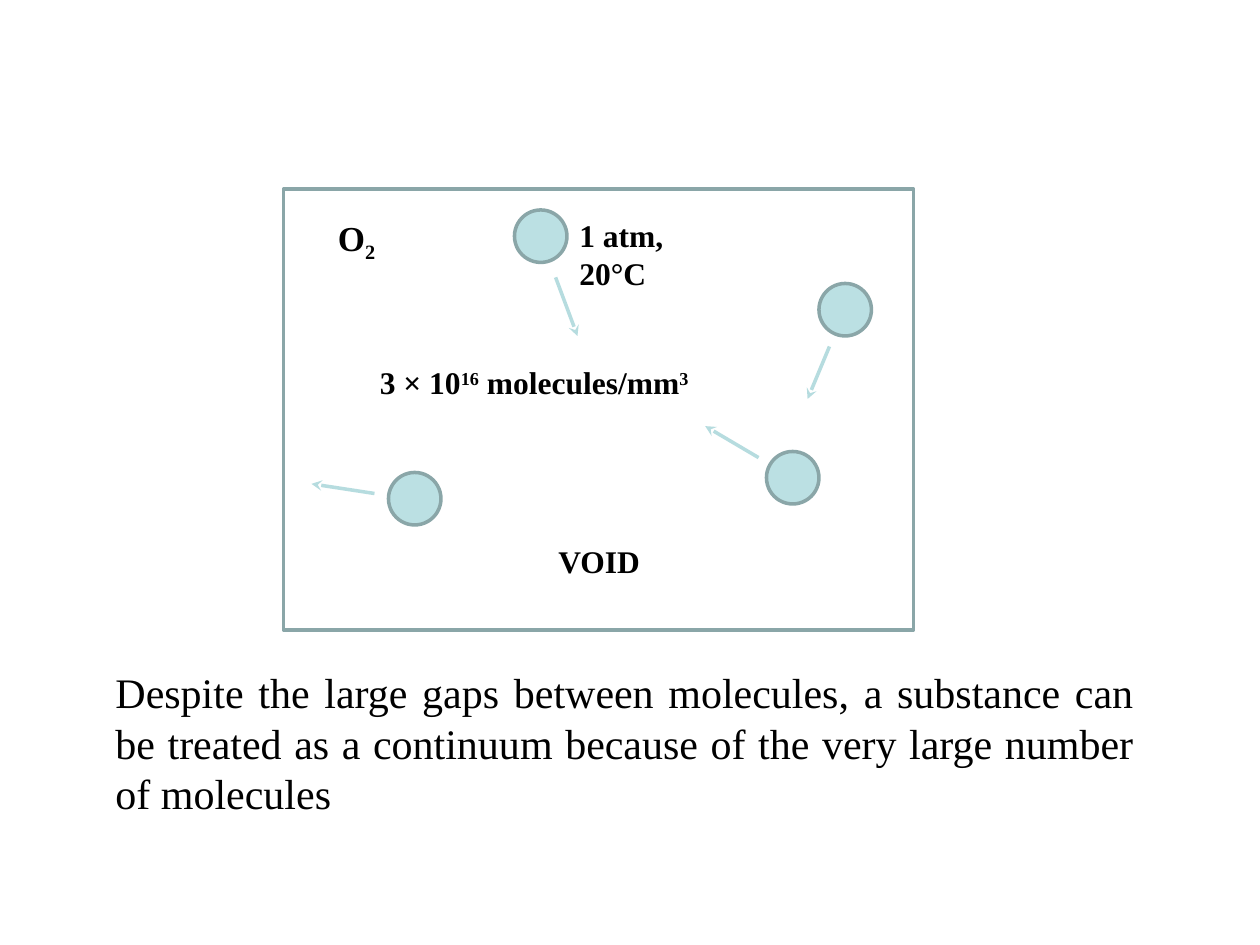
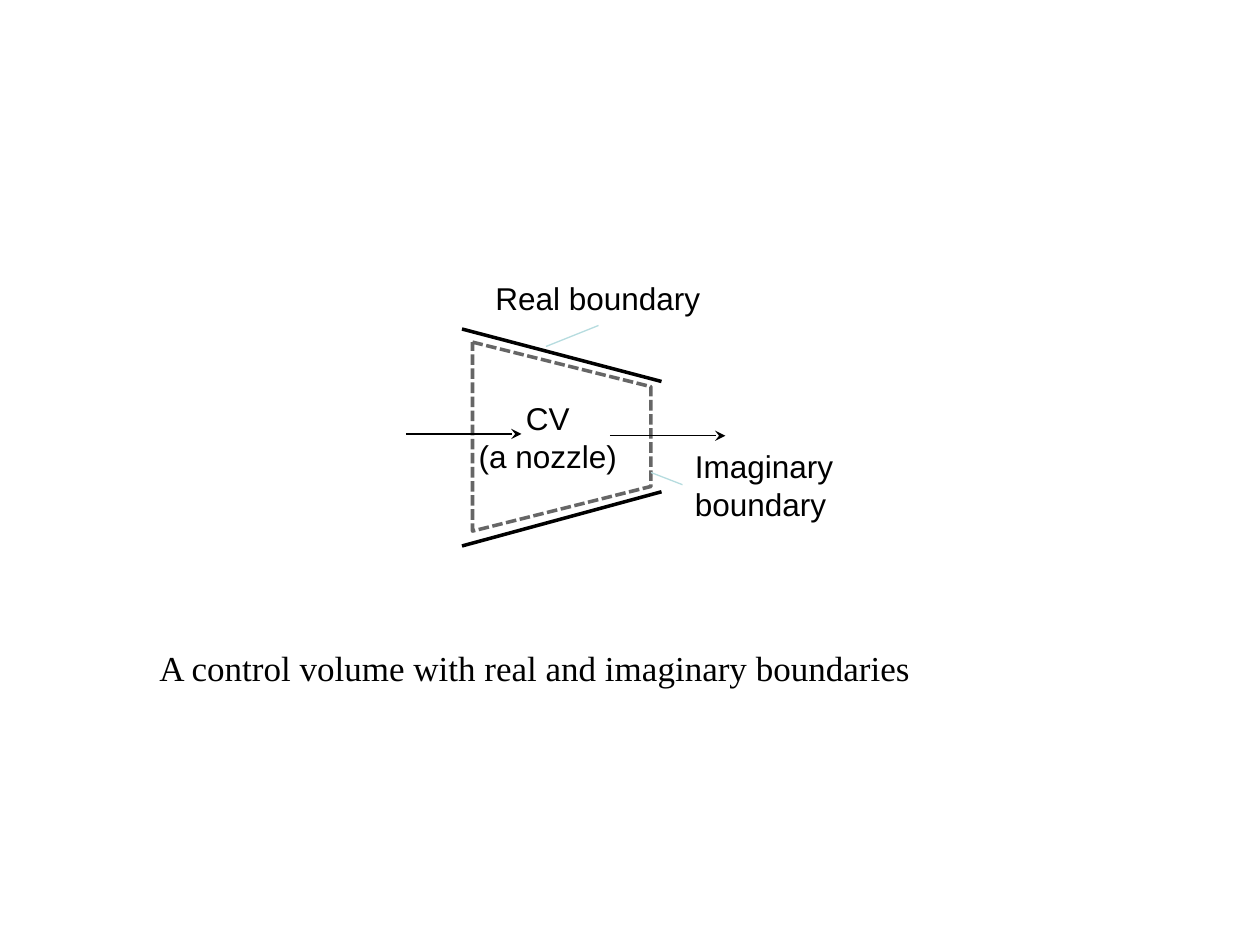
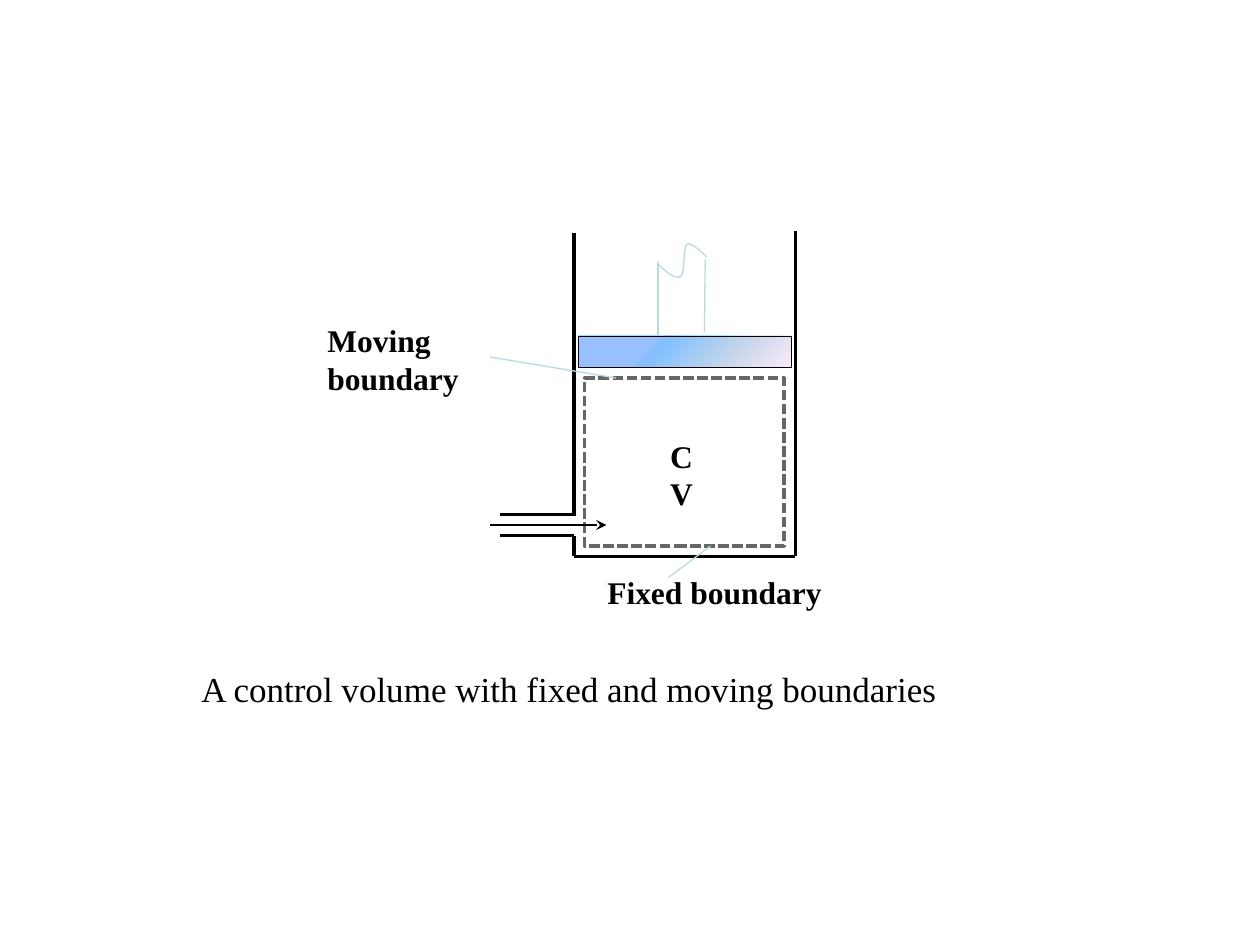
from lxml import etree
from pptx import Presentation, util as u
from pptx.dml.color import RGBColor
from pptx.enum import dml, shapes, text
from pptx.oxml.ns import qn

Pt = u.Pt
COLORS = {
    "black": "000000",
    "dash": "666666",
    "outline": "8AA6A8",
    "molecule": "BBE0E3",
    "pale": "B6DCDF",
}
SERIF, SANS = "Times New Roman", "Arial"
PISTON_STOPS = [(33, "5E9EFF", 63), (40, "85C2FF", 100), (70, "C4D6EB", 100), (100, "FFEBFA", 100)]


def add_text(slide, box, parts, size=18, name=SERIF, bold=False, align=None, inset=None):
    """Add a wrapped text box; parts are (text, baseline shift in percent) pairs."""
    frame = slide.shapes.add_textbox(*map(Pt, box)).text_frame
    frame.word_wrap = True
    if inset is not None:
        frame.margin_left = frame.margin_right = frame.margin_top = frame.margin_bottom = Pt(inset)
    paragraph = frame.paragraphs[0]
    paragraph.alignment = align
    font = paragraph.font
    font.size, font.name, font.bold = Pt(size), name, bold
    font.color.rgb = RGBColor.from_string(COLORS["black"])
    for words, baseline in parts:
        run = paragraph.add_run()
        run.text = words
        if baseline:
            run._r.get_or_add_rPr().set("baseline", str(baseline * 1000))


def add_line(slide, ends, color="black", width=2, arrow=False):
    line = slide.shapes.add_connector(shapes.MSO_CONNECTOR.STRAIGHT, *map(Pt, ends))
    line.line.color.rgb = RGBColor.from_string(COLORS[color])
    line.line.width = Pt(width)
    properties = line._element.spPr
    if arrow:
        etree.SubElement(properties.find(qn("a:ln")), qn("a:tailEnd"), type="stealth")
    etree.SubElement(properties, qn("a:effectLst"))


presentation = Presentation()
presentation.slide_width, presentation.slide_height = Pt(720), Pt(540)
blank = presentation.slide_layouts[6]

# Slide 1: molecules in a void
slide = presentation.slides.add_slide(blank)
container = slide.shapes.add_shape(shapes.MSO_SHAPE.RECTANGLE, Pt(162), Pt(108), Pt(360), Pt(252))
container.fill.background()
molecules = [container]
for left, top in [(222, 270), (438, 258), (294, 120), (468, 162)]:
    molecule = slide.shapes.add_shape(
        shapes.MSO_SHAPE.FLOWCHART_CONNECTOR, Pt(left), Pt(top), Pt(30), Pt(30))
    molecule.fill.solid()
    molecule.fill.fore_color.rgb = RGBColor.from_string(COLORS["molecule"])
    molecules.append(molecule)
for shape in molecules:
    shape.shadow.inherit = False
    shape.line.color.rgb = RGBColor.from_string(COLORS["outline"])
    shape.line.width = Pt(2)

for ends in [(317.5, 158.5, 330, 192), (474, 198, 461.5, 228),
             (214, 282, 178, 276.5), (433.5, 261.5, 403, 243.5)]:
    add_line(slide, ends, "pale", arrow=True)

add_text(slide, (324, 120, 80, 51), [("1 atm, 20°C", 0)], bold=True)
add_text(slide, (210, 204, 220, 29),
         [("3 × 10", 0), ("16", 30), (" molecules/mm", 0), ("3", 30)], bold=True)
add_text(slide, (312, 306, 80, 29), [("VOID", 0)], bold=True)
add_text(slide, (186, 120, 50, 32), [("O", 0), ("2", -25)], size=20, bold=True)
add_text(slide, (66, 381, 582, 87),
         [("Despite the large gaps between molecules, a substance can be treated as a "
           "continuum because of the very large number of molecules", 0)],
         size=24, align=text.PP_ALIGN.JUSTIFY, inset=0)

# Slide 2: nozzle with real and imaginary boundaries
slide = presentation.slides.add_slide(blank)
add_text(slide, (84, 366, 564, 32),
         [("A control volume with real and imaginary boundaries", 0)], size=20)

nozzle = slide.shapes.add_shape(shapes.MSO_SHAPE.TRAPEZOID, Pt(267), Pt(198.5), Pt(108), Pt(102))
nozzle.rotation = 90
nozzle.adjustments[0] = 0.25
frame = nozzle.text_frame
frame.margin_left = frame.margin_right = frame.margin_top = frame.margin_bottom = Pt(3)
frame.vertical_anchor = text.MSO_ANCHOR.MIDDLE
frame._txBody.bodyPr.set("vert", "vert270")
frame.text = "CV\n(a nozzle)"
for paragraph in frame.paragraphs:
    paragraph.alignment = text.PP_ALIGN.CENTER
    paragraph.font.size, paragraph.font.name = Pt(18), SANS
    paragraph.font.color.rgb = RGBColor.from_string(COLORS["black"])

for wall in [(264, 188, 378, 218), (264, 312, 378, 281)]:
    add_line(slide, wall)
add_text(slide, (276, 156, 132, 30), [("Real boundary", 0)], name=SANS)
add_text(slide, (390, 252, 132, 51), [("Imaginary boundary", 0)], name=SANS)
for leader in [(390, 277, 372, 270), (342, 186, 312, 198)]:
    add_line(slide, leader, "pale", 0.75)
for flow in [(232, 248, 298, 248), (348.5, 249, 414.5, 249)]:
    add_line(slide, flow, width=0.75, arrow=True)

# Slide 3: cylinder with fixed and moving boundaries
slide = presentation.slides.add_slide(blank)
control_volume = slide.shapes.add_shape(
    shapes.MSO_SHAPE.RECTANGLE, Pt(334), Pt(216), Pt(114), Pt(96))
for shape in (nozzle, control_volume):
    shape.shadow.inherit = False
    shape.fill.background()
    shape.line.color.rgb = RGBColor.from_string(COLORS["dash"])
    shape.line.width = Pt(2)
    shape.line.dash_style = dml.MSO_LINE.SQUARE_DOT

for wall in [(328, 318, 454.5, 318), (454.5, 318, 454.5, 132),
             (328, 318, 328, 306), (328, 295, 328, 133)]:
    add_line(slide, wall)
for inlet_y in (306, 294):
    add_line(slide, (328, inlet_y, 286, inlet_y), width=1.5)

piston = slide.shapes.add_shape(shapes.MSO_SHAPE.RECTANGLE, Pt(330.5), Pt(192), Pt(122), Pt(18))
piston.shadow.inherit = False
piston.line.color.rgb = RGBColor.from_string(COLORS["black"])
piston.line.width = Pt(0.5)
piston.fill.gradient()
piston.fill.gradient_angle = 315
stops = piston._element.spPr.find(qn("a:gradFill")).find(qn("a:gsLst"))
for stop in list(stops):
    stops.remove(stop)
for position, color, alpha in PISTON_STOPS:
    stop = etree.SubElement(stops, qn("a:gs"), pos=str(position * 1000))
    stop_color = etree.SubElement(stop, qn("a:srgbClr"), val=color)
    etree.SubElement(stop_color, qn("a:alpha"), val=str(alpha * 1000))

for rod_side in [(376, 192, 376, 150), (402.5, 190, 403, 148)]:
    add_line(slide, rod_side, "pale", 0.75)

# The broken end of the rod: cubic curves sampled in eight steps each
start = (376, 151)
curves = [((381, 155.5), (386, 160), (389, 158)),
          ((392, 155.5), (390, 142), (392.5, 139.5)),
          ((395, 138), (402, 145), (404, 147))]
points = [start]
for first, second, end in curves:
    for step in range(1, 9):
        t = step / 8
        points.append(tuple(
            (1 - t) ** 3 * a + 3 * (1 - t) ** 2 * t * b + 3 * (1 - t) * t ** 2 * c + t ** 3 * d
            for a, b, c, d in zip(start, first, second, end)))
    start = end
points = [(Pt(x), Pt(y)) for x, y in points]
builder = slide.shapes.build_freeform(*points[0])
builder.add_line_segments(points[1:], close=False)
rod_break = builder.convert_to_shape()
rod_break.shadow.inherit = False
rod_break.fill.background()
rod_break.line.color.rgb = RGBColor.from_string(COLORS["pale"])
rod_break.line.width = Pt(0.75)

add_text(slide, (340, 324, 144, 29), [("Fixed boundary", 0)], bold=True)
add_text(slide, (180, 180, 100, 51), [("Moving boundary", 0)], bold=True)
add_text(slide, (371.5, 246, 36, 51), [("CV", 0)], bold=True, align=text.PP_ALIGN.CENTER)
add_line(slide, (280, 300, 346.5, 300), width=0.75, arrow=True)
for leader in [(280, 204, 352, 216), (406, 312, 382, 330)]:
    add_line(slide, leader, "pale", 0.75)
add_text(slide, (108, 378, 534, 32),
         [("A control volume with fixed and moving boundaries", 0)], size=20)

presentation.save("out.pptx")
